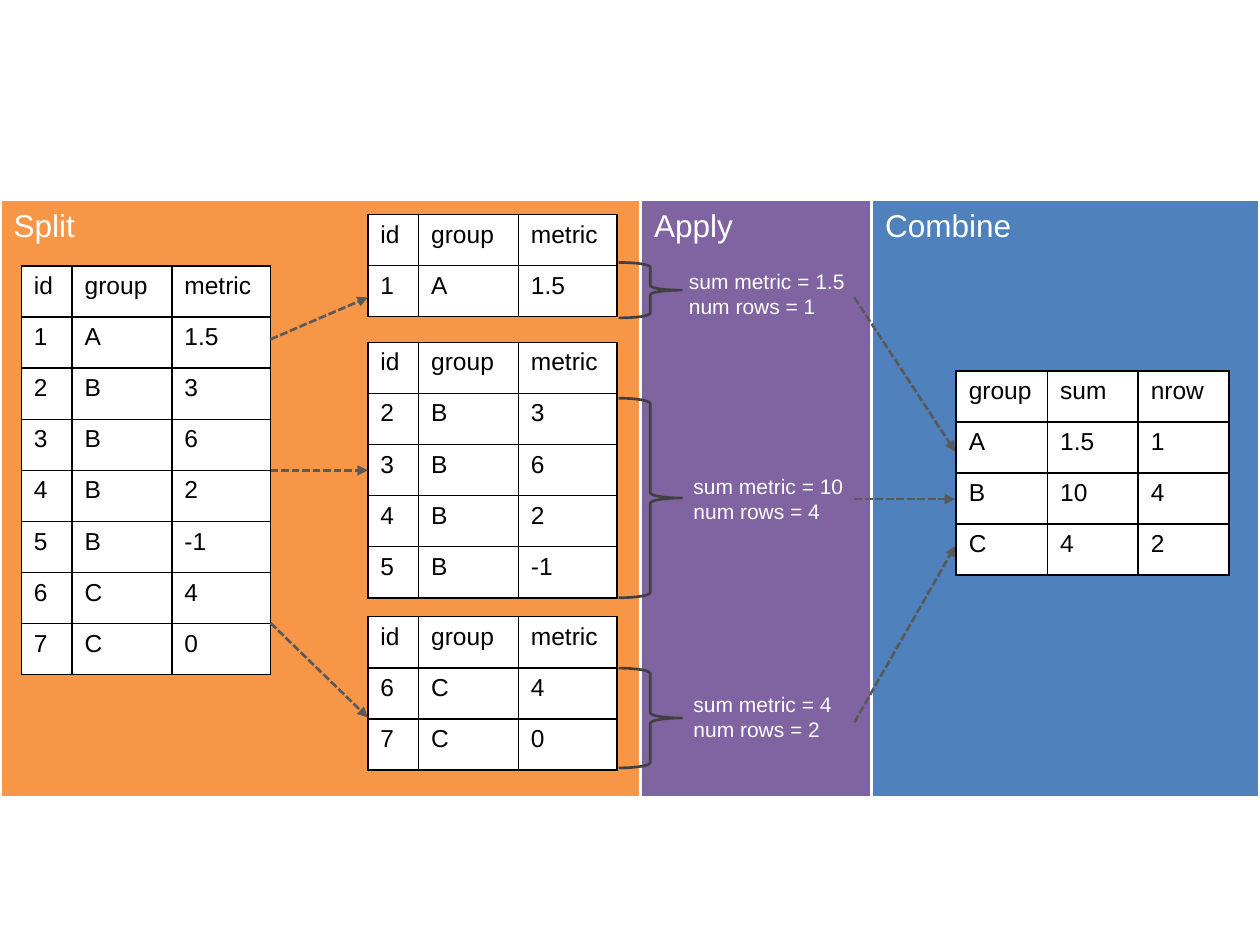
from lxml.etree import SubElement
from pptx import Presentation
from pptx.dml.color import RGBColor
from pptx.enum.dml import MSO_LINE
from pptx.enum.shapes import MSO_CONNECTOR, MSO_SHAPE
from pptx.enum.text import MSO_AUTO_SIZE
from pptx.oxml.ns import qn
from pptx.util import Pt

FONT = "Arial"
WHITE, BLACK = "FFFFFF", "000000"
ORANGE, PURPLE, BLUE = "F79646", "8064A2", "4F81BD"
ARROW, BRACE = "595959", "404040"

ROW_H = 29.2
DATA_COLS = [29, 57, 56.4]
RESULT_COLS = [52.2, 51.8, 51.8]
DATA_HEADER = ("id", "group", "metric")
RECORDS = [("1", "A", "1.5"), ("2", "B", "3"), ("3", "B", "6"), ("4", "B", "2"),
           ("5", "B", "-1"), ("6", "C", "4"), ("7", "C", "0")]
RESULTS = [("group", "sum", "nrow"), ("A", "1.5", "1"), ("B", "10", "4"), ("C", "4", "2")]


def color(hex_text):
    return RGBColor.from_string(hex_text)


def write(tf, text, size=14, fill=BLACK):
    for i, line in enumerate(text.split("\n")):
        p = tf.add_paragraph() if i else tf.paragraphs[0]
        r = p.add_run()
        r.text = line
        r.font.name, r.font.size = FONT, Pt(size)
        r.font.color.rgb = color(fill)


def add_text(s, x, y, w, h, text, **fmt):
    tf = s.shapes.add_textbox(Pt(x), Pt(y), Pt(w), Pt(h)).text_frame
    tf.word_wrap = True
    tf.auto_size = MSO_AUTO_SIZE.SHAPE_TO_FIT_TEXT
    write(tf, text, **fmt)


def add_panel(s, x, y, w, h, fill):
    sp = s.shapes.add_shape(MSO_SHAPE.RECTANGLE, Pt(x), Pt(y), Pt(w), Pt(h))
    sp.shadow.inherit = False
    sp.fill.solid()
    sp.fill.fore_color.rgb = color(fill)
    sp.line.color.rgb = color(WHITE)
    sp.line.width = Pt(2)


def add_title(s, x, y, text):
    add_text(s, x + 0.7, y, 156, 29, text, size=18, fill=WHITE)


def add_brace(s, x, y, h):
    sp = s.shapes.add_shape(MSO_SHAPE.RIGHT_BRACE, Pt(x), Pt(y), Pt(36), Pt(h))
    sp.shadow.inherit = False
    sp.fill.background()
    sp.line.color.rgb = color(BRACE)
    sp.line.width = Pt(1.5)


def add_arrow(s, x1, y1, x2, y2):
    c = s.shapes.add_connector(MSO_CONNECTOR.STRAIGHT, Pt(x1), Pt(y1), Pt(x2), Pt(y2))
    c.line.color.rgb = color(ARROW)
    c.line.width = Pt(1.5)
    c.line.dash_style = MSO_LINE.SQUARE_DOT
    SubElement(c.line._get_or_add_ln(), qn("a:tailEnd"), type="triangle")
    SubElement(c._element.spPr, qn("a:effectLst"))


def add_borders(cell):
    tc_pr = cell._tc.get_or_add_tcPr()
    for side in ("lnL", "lnR", "lnT", "lnB"):
        ln = SubElement(tc_pr, qn(f"a:{side}"), w=str(Pt(1)))
        SubElement(SubElement(ln, qn("a:solidFill")), qn("a:srgbClr"), val=BLACK)


def add_grid(s, x, y, cols, rows):
    table = s.shapes.add_table(len(rows), len(cols), Pt(x), Pt(y),
                               Pt(sum(cols)), Pt(ROW_H * len(rows))).table
    for col, width in zip(table.columns, cols):
        col.width = Pt(width)
    for i, row in enumerate(rows):
        table.rows[i].height = Pt(ROW_H)
        for j, text in enumerate(row):
            cell = table.cell(i, j)
            add_borders(cell)
            cell.fill.solid()
            cell.fill.fore_color.rgb = color(WHITE)
            write(cell.text_frame, text)


def split_region(s, x, y):
    add_title(s, x, y, "Split")
    # All records, then one table for each group
    add_grid(s, x + 12.2, y + 38, DATA_COLS, [DATA_HEADER] + RECORDS)
    for group, top in (("A", 8.6), ("B", 81.6), ("C", 238.4)):
        members = [rec for rec in RECORDS if rec[1] == group]
        add_grid(s, x + 210.2, y + top, DATA_COLS, [DATA_HEADER] + members)
    # Arrows from the records to the groups
    for start, end in ((79.9, 56), (154.8, 154.8), (242, 296)):
        add_arrow(s, x + 154.6, y + start, x + 210.2, y + end)


def apply_region(s, x, y):
    add_title(s, x, y, "Apply")
    # Braces that gather each group's rows
    for top, height in ((36, 31.7), (113.6, 114), (267.8, 57)):
        add_brace(s, x - 12.4, y + top, height)
    # Summary of each group
    for left, top, total, count in ((20.6, 36, "1.5", 1), (23.2, 153.2, "10", 4),
                                    (23.2, 277.8, "4", 2)):
        add_text(s, x + left, y + top, 120, 36,
                 f"sum metric = {total}\nnum rows = {count}", size=12, fill=WHITE)


def combine_region(s, x, y):
    add_title(s, x, y, "Combine")
    add_grid(s, x + 48.4, y + 97.9, RESULT_COLS, RESULTS)
    # Arrows from the summaries to the result rows
    for start, end in ((56, 144), (171.2, 171.2), (298.8, 198)):
        add_arrow(s, x - 9.8, y + start, x + 47.8, y + end)


def main():
    prs = Presentation()
    prs.slide_width, prs.slide_height = Pt(720), Pt(540)
    s = prs.slides.add_slide(prs.slide_layouts[6])

    top, height = 114, 342
    regions = [(366, 132, PURPLE, apply_region), (0, 366, ORANGE, split_region),
               (498, 222, BLUE, combine_region)]
    # Panels go behind everything, since braces and arrows cross their edges
    for left, width, fill, _ in regions:
        add_panel(s, left, top, width, height, fill)
    for left, _, _, draw in regions:
        draw(s, left, top)

    prs.save("out.pptx")


if __name__ == "__main__":
    main()
